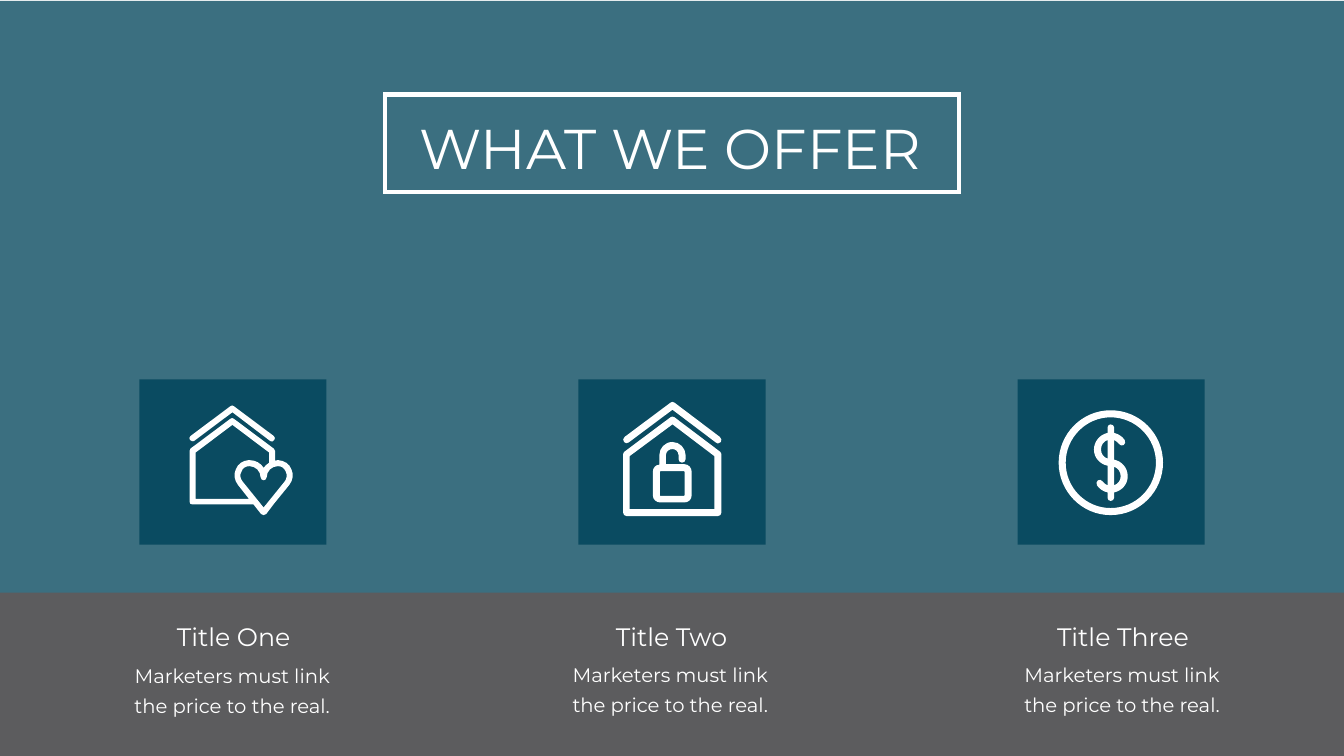
from lxml import etree
from pptx import Presentation
from pptx.dml.color import RGBColor
from pptx.enum.shapes import MSO_SHAPE
from pptx.enum.text import MSO_ANCHOR, MSO_AUTO_SIZE, PP_ALIGN
from pptx.oxml.ns import qn
from pptx.util import Pt

RECTANGLE = MSO_SHAPE.RECTANGLE
CENTER = PP_ALIGN.CENTER
TOP = MSO_ANCHOR.TOP
FIT_SHAPE = MSO_AUTO_SIZE.SHAPE_TO_FIT_TEXT

COLORS = {"teal": "0A4B61", "gray": "5C5C5E", "white": "FFFFFF"}
FONT = "Montserrat"
SLIDE_WIDTH, SLIDE_HEIGHT = 1919.52, 1080

TITLE = "WHAT WE OFFER"
BODY = "Marketers must link the price to the real."

HEART_HOUSE = [
    ["385,875 L 461,818 536,875 C 537,875 538,876 540,876 542,876 543,875 544,873 "
     "546,871 546,867 543,865 L 464,806 C 462,804 459,804 457,806 L 378,865 "
     "C 375,867 375,871 377,873 379,876 383,876 385,875"],
    ["481,955 C 477,950 475,942 479,936 481,929 487,925 494,925 494,925 495,925 495,925 "
     "507,925 517,935 517,947 517,950 520,953 523,953 526,953 529,950 529,947 "
     "529,935 539,925 551,925 551,925 552,925 552,925 559,925 564,929 567,936 "
     "570,942 569,950 565,955 L 523,1007",
     "388,898 L 461,843 534,898 534,918 C 530,921 526,924 523,928 517,919 507,913 495,913 "
     "494,913 494,913 493,913 482,914 472,920 468,931 463,941 465,953 472,962 "
     "L 494,990 388,990",
     "574,962 C 581,953 583,941 578,931 574,920 564,914 552,913 552,913 552,913 551,913 "
     "549,913 547,913 546,914 L 546,895 C 546,893 545,892 543,890 L 464,831 "
     "C 462,829 459,829 457,831 L 378,890 C 377,892 376,893 376,895 L 376,995 "
     "C 376,999 378,1001 382,1001 L 503,1001 518,1020 C 520,1021 521,1022 523,1022 "
     "525,1022 526,1021 528,1020 L 544,999 544,999"],
]
LOCK_HOUSE = [
    ["1417,1010 L 1249,1010 1249,905 1334,842 1417,905",
     "1428,896 L 1338,828 C 1335,826 1332,826 1330,828 L 1239,896 "
     "C 1237,897 1236,900 1236,902 L 1236,1017 C 1236,1021 1239,1024 1243,1024 "
     "L 1424,1024 C 1428,1024 1431,1021 1431,1017 L 1431,902 C 1431,900 1430,897 1428,896"],
    ["1247,878 L 1334,813 1420,878 C 1421,879 1423,880 1424,880 1427,880 1428,878 1430,877 "
     "1432,874 1431,870 1428,867 L 1338,799 C 1335,797 1332,797 1330,799 L 1239,867 "
     "C 1236,870 1235,874 1238,877 1240,880 1244,880 1247,878"],
    ["1358,936 L 1358,983 C 1358,983 1358,984 1357,984 L 1310,984 "
     "C 1309,984 1309,983 1309,983 L 1309,936 C 1309,935 1309,935 1310,935 L 1357,935 "
     "C 1358,935 1358,935 1358,936",
     "1308,903 L 1308,922 C 1301,922 1295,928 1295,936 L 1295,983 "
     "C 1295,991 1302,997 1310,997 L 1357,997 C 1366,997 1372,991 1372,983 L 1372,936 "
     "C 1372,928 1366,921 1357,921 L 1321,921 1321,903 C 1321,896 1327,891 1334,891 "
     "1340,891 1346,896 1346,903 L 1346,911 C 1346,915 1349,918 1353,918 "
     "1357,918 1360,915 1360,911 L 1360,903 C 1360,889 1348,877 1334,877 "
     "1319,877 1308,889 1308,903"],
]
COIN = [
    ["2203,1008 C 2154,1008 2114,968 2114,918 2114,869 2154,828 2203,828 "
     "2253,828 2293,869 2293,918 2293,968 2253,1008 2203,1008",
     "2203,814 C 2146,814 2100,861 2100,918 2100,975 2146,1022 2203,1022 "
     "2261,1022 2307,975 2307,918 2307,861 2261,814 2203,814"],
    ["2210,963 L 2210,926 C 2218,929 2223,936 2223,945 2223,953 2218,960 2210,963",
     "2184,892 C 2184,883 2189,876 2197,873 L 2197,910 C 2189,907 2184,900 2184,892",
     "2210,912 L 2210,873 C 2214,875 2218,878 2220,881 2222,884 2226,885 2229,883 "
     "2232,881 2233,877 2231,873 2226,866 2219,861 2210,859 L 2210,848 "
     "C 2210,845 2207,842 2203,842 2200,842 2197,845 2197,848 L 2197,859 "
     "C 2182,862 2170,876 2170,892 2170,908 2182,921 2197,924 L 2197,963 "
     "C 2193,961 2190,959 2187,955 2185,952 2181,951 2178,953 2175,955 2174,959 2176,963 "
     "2181,970 2188,975 2197,977 L 2197,988 C 2197,991 2200,994 2203,994 "
     "2207,994 2210,991 2210,988 L 2210,977 C 2225,974 2237,961 2237,945 "
     "2237,928 2225,915 2210,912"],
]

OFFERS = [
    {"heading": "Title One", "heading_center": 333.7, "heading_width": 180.7,
     "body_center": 331.6, "body_top": 935.3, "icon": HEART_HOUSE},
    {"heading": "Title Two", "heading_center": 959, "heading_width": 180,
     "body_center": 957.2, "body_top": 934.6, "icon": LOCK_HOUSE},
    {"heading": "Title Three", "heading_center": 1603.8, "heading_width": 208.1,
     "body_center": 1602.4, "body_top": 934.6, "icon": COIN},
]

UNIT = 0.72
TILE_WIDTH, TILE_HEIGHT, TILE_MIDDLE, TILE_PITCH = 267.1, 236.2, 659.9, 627.1


def color(name):
    return RGBColor.from_string(COLORS[name])


def add_panel(shapes, center, middle, width, height, fill, opacity=None):
    shape = shapes.add_shape(RECTANGLE, Pt(center - height / 2), Pt(middle - width / 2),
                             Pt(height), Pt(width))
    shape.rotation = 270
    shape.shadow.inherit = False
    shape.fill.solid()
    shape.fill.fore_color.rgb = color(fill)
    shape.line.fill.background()
    if opacity is not None:
        fill_color = shape.element.spPr.find(qn("a:solidFill"))[0]
        etree.SubElement(fill_color, qn("a:alpha")).set("val", str(opacity * 1000))


def add_frame(shapes, left, top, width, height):
    frame = shapes.add_shape(RECTANGLE, Pt(left), Pt(top), Pt(width), Pt(height))
    frame.shadow.inherit = False
    frame.fill.background()
    frame.line.color.rgb = color("white")
    frame.line.width = Pt(6)
    etree.SubElement(frame.element.spPr.find(qn("a:ln")), qn("a:miter")).set("lim", "800000")


def write_text(shape, text, size, wrap=True, line_spacing=None):
    frame = shape.text_frame
    frame.word_wrap = wrap
    frame.auto_size = FIT_SHAPE
    frame.vertical_anchor = TOP
    paragraph = frame.paragraphs[0]
    paragraph.alignment = CENTER
    if line_spacing:
        paragraph.line_spacing = Pt(line_spacing)
    run = paragraph.add_run()
    run.text = text
    run.font.name = FONT
    run.font.size = Pt(size)
    run.font.color.rgb = color("white")
    return run


def add_centered_text(shapes, center, top, width, height, text, size, **options):
    box = shapes.add_textbox(Pt(center - width / 2), Pt(top), Pt(width), Pt(height))
    write_text(box, text, size, **options)


def read_contour(contour):
    steps, command = [], "M"
    for token in contour.split():
        if token.isalpha():
            command = token
        else:
            x, y = token.split(",")
            steps.append((command, (Pt(int(x) * UNIT), Pt(int(y) * UNIT))))
    return steps


def bend_curves(path, commands):
    controls = []
    for command, segment in zip(commands, list(path)):
        if command != "C":
            continue
        controls.append(segment)
        if len(controls) == 3:
            curve = etree.Element(qn("a:cubicBezTo"))
            controls[0].addprevious(curve)
            for control in controls:
                curve.append(control[0])
                path.remove(control)
            controls = []


def add_outline(shapes, contours):
    outlines = [read_contour(contour) for contour in contours]
    builder = shapes.build_freeform(*outlines[0][0][1])
    commands = []
    for index, steps in enumerate(outlines):
        points = [point for _, point in steps]
        if index:
            builder.move_to(*points[0])
        builder.add_line_segments(points[1:], close=True)
        commands += [command for command, _ in steps] + ["Z"]
    shape = builder.convert_to_shape()
    bend_curves(next(shape.element.iter(qn("a:path"))), commands)
    shape.shadow.inherit = False
    shape.fill.solid()
    shape.fill.fore_color.rgb = color("white")
    shape.line.fill.background()


def main():
    presentation = Presentation()
    presentation.slide_width, presentation.slide_height = Pt(SLIDE_WIDTH), Pt(SLIDE_HEIGHT)
    slide = presentation.slides.add_slide(presentation.slide_layouts[5])
    shapes = slide.shapes
    slide.background.fill.solid()
    slide.background.fill.fore_color.rgb = color("white")

    middle_x = SLIDE_WIDTH / 2
    add_panel(shapes, middle_x, 425.5, SLIDE_WIDTH, 848.2, "teal", opacity=80)
    add_panel(shapes, middle_x, 964.8, SLIDE_WIDTH, 236.2, "gray")

    title = shapes.title
    title.left, title.top, title.width, title.height = Pt(584.6), Pt(158), Pt(744.5), Pt(104.4)
    write_text(title, TITLE, 80).font._element.set("kern", "0")
    title.element.getparent().append(title.element)
    add_frame(shapes, 549.4, 134.9, 820.8, 139)

    for index, offer in enumerate(OFFERS):
        tile_center = middle_x + (index - 1) * TILE_PITCH
        add_panel(shapes, tile_center, TILE_MIDDLE, TILE_WIDTH, TILE_HEIGHT, "teal")
        for contours in offer["icon"]:
            add_outline(shapes, contours)
        add_centered_text(shapes, offer["heading_center"], 884.2, offer["heading_width"], 51.1,
                          offer["heading"], 36, wrap=False)
        add_centered_text(shapes, offer["body_center"], offer["body_top"], 298.8, 90,
                          BODY, 28, line_spacing=43)

    presentation.save("out.pptx")


if __name__ == "__main__":
    main()
